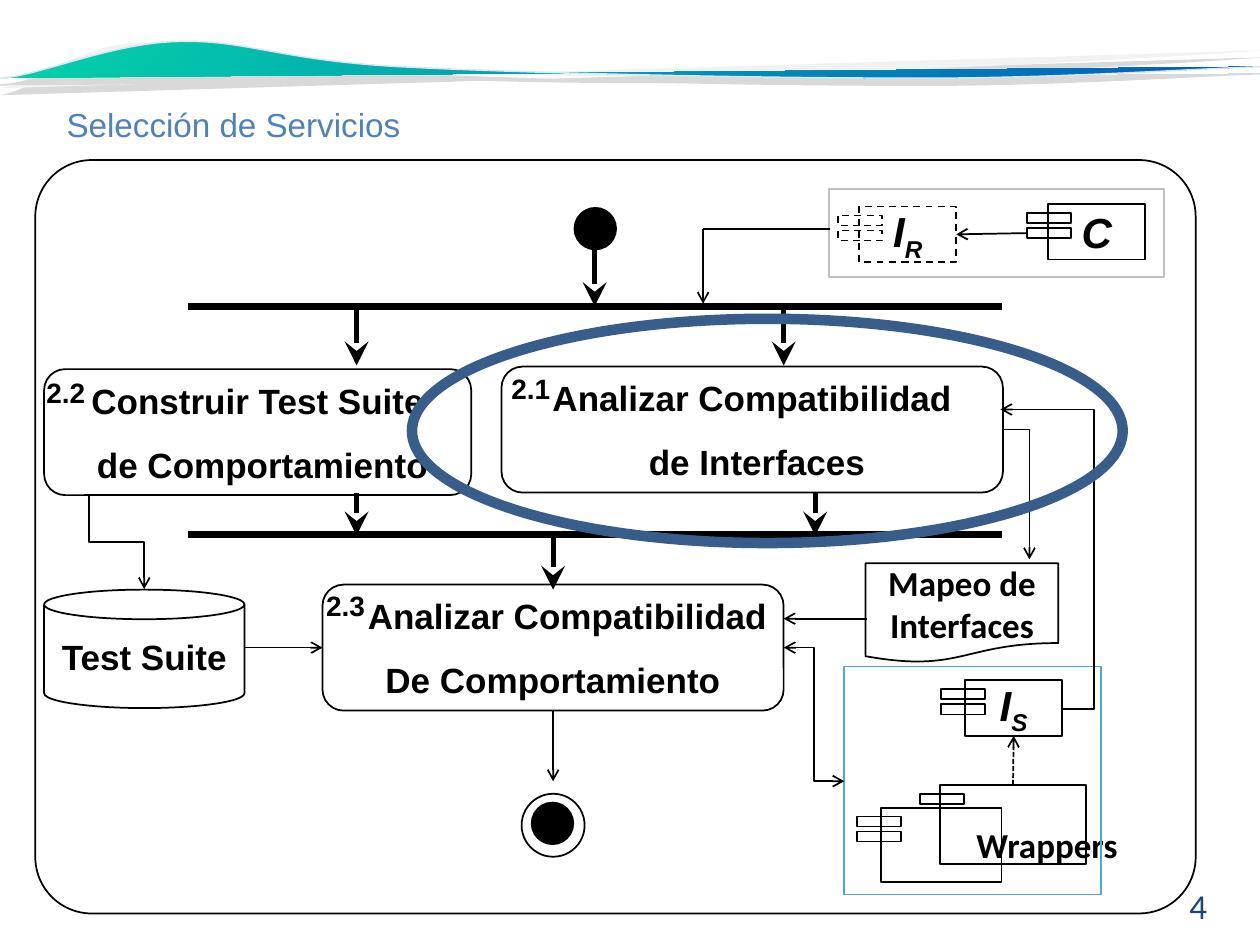
import pptx
import pptx.util
import pptx.dml.color
import pptx.enum.dml
import pptx.enum.shapes
import pptx.enum.text
import pptx.oxml.ns
from lxml import etree

KIND = pptx.enum.shapes.MSO_SHAPE
LINK = pptx.enum.shapes.MSO_CONNECTOR
DASH = pptx.enum.dml.MSO_LINE
ALIGN = pptx.enum.text.PP_ALIGN
ANCHOR = pptx.enum.text.MSO_ANCHOR
BLACK = "000000"
STEP = {"size": 20, "name": "Arial", "bold": True}
NOTE = {**STEP, "name": "Calibri"}
MARK = {**STEP, "size": 16}
SIGN = {**STEP, "size": 24, "italic": True}


def dist(inch):
    return pptx.util.Cm(inch * 2.54)


def paint(code):
    return pptx.dml.color.RGBColor.from_string(code)


def child(node, tag, **attrs):
    return etree.SubElement(node, pptx.oxml.ns.qn(tag), **attrs)


def stroke(item, color, width, dash=None):
    item.line.color.rgb = paint(color)
    item.line.width = pptx.util.Pt(width)
    if dash:
        item.line.dash_style = dash


def shape(slide, kind, at, color=BLACK, width=1, fill=None, dash=None, round_by=None):
    item = slide.shapes.add_shape(kind, *map(dist, at))
    item.shadow.inherit = False
    if fill:
        item.fill.solid()
        item.fill.fore_color.rgb = paint(fill)
    else:
        item.fill.background()
    stroke(item, color, width, dash)
    if round_by:
        item.adjustments[0] = round_by
    return item


def write(item, lines, form, color=BLACK, before=12.5, align=ALIGN.CENTER,
          anchor=ANCHOR.MIDDLE, wrap=False, shift=0, pitch=None):
    """Fill a shape; a line is a list of runs, every run after its first a subscript."""
    frame = item.text_frame
    frame.word_wrap = wrap
    frame.vertical_anchor = anchor
    for i, runs in enumerate(lines):
        para = frame.paragraphs[0] if i == 0 else frame.add_paragraph()
        para.alignment = align
        para.space_before = pptx.util.Pt(before)
        para.line_spacing = pitch
        if shift and i == 0:
            para._p.get_or_add_pPr().set("marL", str(dist(shift)))
        for j, text in enumerate(runs):
            run = para.add_run()
            run.text = text
            for key, value in form.items():
                setattr(run.font, key, pptx.util.Pt(value) if key == "size" else value)
            run.font.color.rgb = paint(color)
            if j:
                run._r.get_or_add_rPr().set("baseline", "-25000")


def label(slide, at, text, form, **style):
    item = slide.shapes.add_textbox(*map(dist, at))
    write(item, [[text]], form, **style)
    return item


def stage(slide, at, mark, spot, lines, shift=0):
    """Rounded step box with its number in the top left corner."""
    item = shape(slide, KIND.ROUNDED_RECTANGLE, at, round_by=0.167)
    write(item, lines, STEP, shift=shift)
    label(slide, (*spot, 0.87, 0.37), mark, MARK, before=10, align=ALIGN.LEFT,
          anchor=ANCHOR.TOP, wrap=True)
    return item


def module(slide, left, top, runs=None, size=(0.77, 0.44), tabs=2, dash=None, reach=0.17):
    """UML component: a body and the tabs on its left edge."""
    body = shape(slide, KIND.RECTANGLE, (left, top, *size), dash=dash)
    if runs:
        write(body, [runs], SIGN, before=15)
    for i in range(tabs):
        tab = shape(slide, KIND.RECTANGLE,
                    (left - reach, top + 0.07 + 0.12 * i, 0.35, 0.08), dash=dash)
    return body, tab


def link(slide, start, end, width=1, tail="arrow", head=None, dash=None,
         kind=LINK.STRAIGHT, source=None, target=None, tip="med"):
    item = slide.shapes.add_connector(kind, *map(dist, (*start, *end)))
    if source:
        item.begin_connect(*source)
    if target:
        item.end_connect(*target)
    stroke(item, BLACK, width, dash)
    line = item.line._get_or_add_ln()
    for tag, form in (("a:headEnd", head), ("a:tailEnd", tail)):
        if form:
            child(line, tag, type=form, w=tip, len=tip)
    child(item._element.spPr, "a:effectLst")
    return item


def bend(slide, start, end, preset, bends=(), turn=0, head=None):
    item = link(slide, start, end, kind=LINK.ELBOW, head=head)
    form = item._element.spPr.find(pptx.oxml.ns.qn("a:prstGeom"))
    form.set("prst", preset)
    for old in list(form):
        form.remove(old)
    guides = child(form, "a:avLst")
    for i, part in enumerate(bends, 1):
        child(guides, "a:gd", name=f"adj{i}", fmla=f"val {round(part * 100000)}")
    if turn:
        item._element.spPr.find(pptx.oxml.ns.qn("a:xfrm")).set("rot", str(turn * 60000))


def smooth(item):
    """Turn each three line segments into one cubic curve."""
    lines = list(item._element.iter(pptx.oxml.ns.qn("a:lnTo")))
    trace = lines[0].getparent()
    for i, line in enumerate(lines):
        if i % 3 == 0:
            arc = child(trace, "a:cubicBezTo")
        arc.append(line[0])
        trace.remove(line)


def wave(slide, knots, fills):
    points = [(dist(x), dist(y)) for x, y in knots]
    build = slide.shapes.build_freeform(*points[0])
    build.add_line_segments(points[1:], close=False)
    item = build.convert_to_shape()
    smooth(item)
    item.line.fill.background()
    if len(fills) == 1:
        item.fill.solid()
        item.fill.fore_color.rgb = paint(fills[0])
    else:
        item.fill.gradient()
        item.fill.gradient_angle = 315
        for stop, code in zip(item.fill.gradient_stops, fills):
            stop.color.rgb = paint(code)
        stroke(item, "DCE6F2", 0.85)
    item.shadow.inherit = False
    effect = item._element.spPr.find(pptx.oxml.ns.qn("a:effectLst"))
    shade = child(effect, "a:outerShdw", blurRad="0", dist=str(pptx.util.Pt(4)),
                  dir="5400000", algn="ctr", rotWithShape="0")
    child(shade, "a:srgbClr", val="D9D9D9")


def banner(slide):
    wave(slide, [(0, 0.7), (0.21, 0.67), (0.66, 0.37), (1.05, 0.34), (1.45, 0.31),
                 (1.6, 0.49), (2.37, 0.53), (3.15, 0.57), (4.44, 0.62), (5.71, 0.6),
                 (6.99, 0.58), (9.57, 0.44), (10.02, 0.4)], ["F2F2F2"])
    wave(slide, [(0, 0.62), (0.29, 0.61), (0.88, 0.34), (1.41, 0.33), (1.94, 0.31),
                 (2.22, 0.48), (3.18, 0.53), (4.13, 0.58), (5.98, 0.62), (7.12, 0.62),
                 (8.26, 0.63), (9.4, 0.55), (10, 0.53)], ["03D4A8", "005CBF"])


def main():
    deck = pptx.Presentation()
    deck.slide_width, deck.slide_height = dist(10), dist(7.5)
    slide = deck.slides.add_slide(deck.slide_layouts[6])
    banner(slide)
    page = label(slide, (8.75, 6.95, 0.83, 0.4), "4", {"size": 20, "name": "Calibri"},
                 color="1D4577", before=0, align=ALIGN.RIGHT, anchor=ANCHOR.BOTTOM, wrap=True)
    for side in ("left", "top", "right", "bottom"):
        setattr(page.text_frame, "margin_" + side, 0)
    shape(slide, KIND.ROUNDED_RECTANGLE, (0.28, 1.27, 9.21, 5.98), fill="FFFFFF", round_by=0.075)

    stage(slide, (0.35, 2.93, 3.39, 1), "2.2", (0.27, 2.93),
          [["Construir Test Suite"], [" de Comportamiento"]])
    check = stage(slide, (2.56, 4.64, 3.66, 1), "2.3", (2.49, 4.62),
                  [["Analizar Compatibilidad"], ["De Comportamiento"]], shift=0.23)
    stage(slide, (3.98, 2.91, 3.98, 1), "2.1", (3.96, 2.9),
          [["Analizar Compatibilidad"], [" de Interfaces"]])

    shape(slide, KIND.RECTANGLE, (6.58, 1.5, 2.66, 0.7), color="BFBFBF")
    _, tab = module(slide, 8.32, 1.62, ["C"])
    need, _ = module(slide, 6.82, 1.64, ["I", "R"], dash=DASH.DASH)
    link(slide, (8.15, 1.85), (7.59, 1.85), source=(tab, 1), target=(need, 3))

    suite = shape(slide, KIND.CAN, (0.35, 4.68, 1.59, 0.94))
    write(suite, [["Test Suite"]], STEP)
    paper = shape(slide, KIND.FLOWCHART_DOCUMENT, (6.87, 4.47, 1.53, 0.79))
    write(paper, [["Mapeo de Interfaces"]], NOTE, wrap=True)

    shape(slide, KIND.FLOWCHART_CONNECTOR, (4.14, 6.3, 0.5, 0.5))
    for left, top in ((4.22, 6.37), (4.56, 1.65)):
        shape(slide, KIND.FLOWCHART_CONNECTOR, (left, top, 0.33, 0.33), fill=BLACK)
    for y in (2.43, 4.24):
        link(slide, (1.49, y), (7.95, y), width=4, tail=None)
    for x, top, low in ((4.72, 1.98, 2.43), (2.83, 2.45, 2.9), (6.22, 2.41, 2.9),
                        (2.83, 3.91, 4.25), (6.47, 3.91, 4.25), (4.39, 4.24, 4.68)):
        link(slide, (x, top), (x, low), width=2.75, tail="stealth", tip="lg")

    link(slide, (6.59, 1.82), (5.58, 1.82), tail=None)
    link(slide, (5.58, 1.82), (5.58, 2.41))
    link(slide, (4.39, 5.64), (4.39, 6.2), source=(check, 2))
    link(slide, (1.94, 5.14), (2.56, 5.14), target=(check, 1))
    link(slide, (6.88, 4.91), (6.22, 4.91))

    offer, _ = module(slide, 7.66, 5.4, ["I", "S"], reach=0.19)
    rear, _ = module(slide, 7.46, 6.23, size=(1.16, 0.63), tabs=1, reach=0.16)
    module(slide, 6.99, 6.41, size=(0.96, 0.59), reach=0.19)
    label(slide, (7.51, 6.41, 1.6, 0.59), "Wrappers", NOTE)
    link(slide, (8.04, 6.23), (8.04, 5.84), dash=DASH.SQUARE_DOT,
         source=(rear, 0), target=(offer, 2))
    shape(slide, KIND.RECTANGLE, (6.7, 5.29, 2.04, 1.81), color="4BACC6")

    bend(slide, (1.3, 4.08), (0.55, 4.52), "bentConnector3", (0.5,), turn=270)
    bend(slide, (7.95, 3.41), (8.17, 4.44), "bentConnector2")
    bend(slide, (8.43, 5.63), (7.94, 3.25), "bentConnector4", (-0.52, 1))
    bend(slide, (6.22, 5.14), (6.7, 6.2), "bentConnector3", (0.5,), head="arrow")

    shape(slide, KIND.OVAL, (3.27, 2.53, 5.64, 1.78), color="385D8A", width=6)
    label(slide, (0.43, 0.76, 2.85, 0.44), "Selección de Servicios",
          {"size": 19, "name": "Arial"}, color="4F81BD", before=4.8,
          align=ALIGN.LEFT, anchor=ANCHOR.TOP, pitch=1.05)
    deck.save("out.pptx")


if __name__ == "__main__":
    main()
